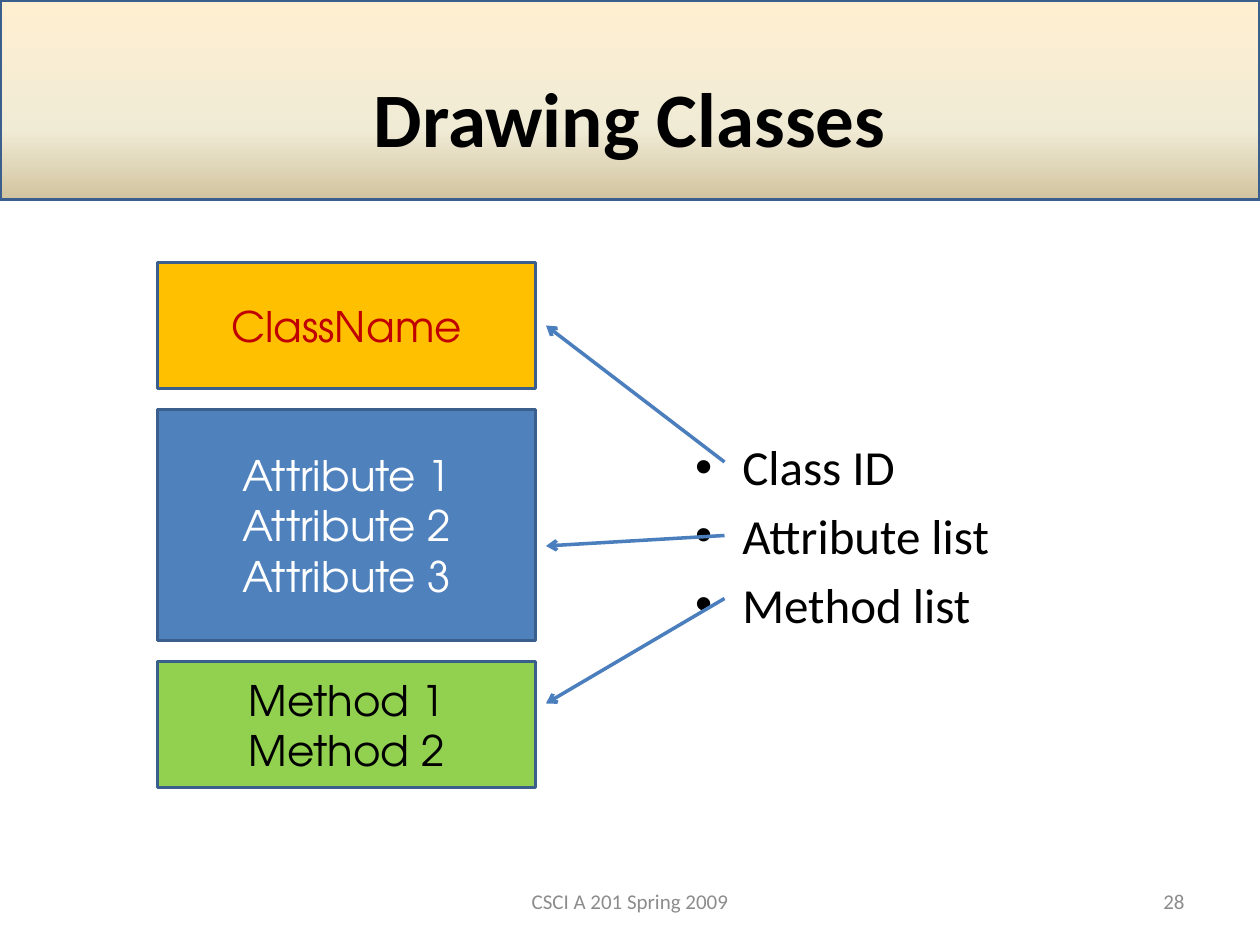
"""Build the "Drawing Classes" slide on a grid of twelfths of an inch."""
import dataclasses
import typing

import lxml.etree
import pptx
import pptx.dml.color
import pptx.enum.shapes
import pptx.enum.text
import pptx.oxml.ns
import pptx.util

COLORS = {
    "band_top": "FFEFD1", "band_mid": "F0EBD5", "band_low": "D1C39F",
    "outline": "3A5F8C", "arrow": "4B7EBC", "black": "000000",
    "white": "FFFFFF", "gray": "8C8C8C", "orange": "FFC000",
    "red": "C00000", "blue": "4F81BD", "green": "92D050",
}
ALIGN = pptx.enum.text.PP_ALIGN
MIDDLE = pptx.enum.text.MSO_ANCHOR.MIDDLE
qn = pptx.oxml.ns.qn


@dataclasses.dataclass
class Compartment:
    """One box of the class diagram, with its rows and the arrow to it."""
    row: int
    rows: int
    fill: str
    color: str
    lines: list[str]
    arrow_from: int
    arrow_to: int


COMPARTMENTS = [
    Compartment(25, 12, "orange", "red", ["ClassName"], 44, 31),
    Compartment(39, 22, "blue", "white",
                ["Attribute 1", "Attribute 2", "Attribute 3"], 51, 52),
    Compartment(63, 12, "green", "black", ["Method 1\vMethod 2"], 57, 67),
]


def grid(n: float) -> pptx.util.Emu:
    """Return the length of n columns or rows."""
    return pptx.util.Inches(n / 12)


def rgb(name: str) -> pptx.dml.color.RGBColor:
    """Return a named colour."""
    return pptx.dml.color.RGBColor.from_string(COLORS[name])


def place(sp: typing.Any, box: tuple) -> None:
    """Move a shape to a left, top, width, height box on the grid."""
    for name, n in zip(("left", "top", "width", "height"), box):
        setattr(sp, name, grid(n))


def write(tf: typing.Any, lines: list[str], color: str, align: typing.Any = None,
          **font: typing.Any) -> None:
    """Write one paragraph per line and format its runs."""
    tf.word_wrap = True
    for i, line in enumerate(lines):
        p = tf.paragraphs[0] if i == 0 else tf.add_paragraph()
        p.text = line
        p.alignment = align
        if i == 0:
            p.space_before = pptx.util.Pt(0)
        for r in p.runs:
            r.font.color.rgb = rgb(color)
            for name, value in font.items():
                setattr(r.font, name, value)


def outline(s: typing.Any, color: str) -> None:
    """Give a shape or connector a two-point line."""
    s.line.color.rgb = rgb(color)
    s.line.width = pptx.util.Pt(2)


def add_box(slide: typing.Any, box: tuple) -> typing.Any:
    """Add an outlined rectangle."""
    sp = slide.shapes.add_shape(pptx.enum.shapes.MSO_SHAPE.RECTANGLE, *map(grid, box))
    sp.shadow.inherit = False
    outline(sp, "outline")
    return sp


def add_band(slide: typing.Any) -> None:
    """Add the gradient title band behind everything else."""
    sp = add_box(slide, (0, 0, 120, 19))
    sp.fill.gradient()
    sp.fill.gradient_angle = 270
    stops = next(sp.element.iter(qn("a:gsLst")))
    for gs in list(stops):
        stops.remove(gs)
    for share, name in ((0, "band_top"), (65, "band_mid"), (100, "band_low")):
        gs = lxml.etree.SubElement(stops, qn("a:gs"), pos=str(share * 1000))
        lxml.etree.SubElement(gs, qn("a:srgbClr"), val=COLORS[name])
    slide.shapes.element.insert(2, sp.element)


def add_compartment(slide: typing.Any, c: Compartment) -> None:
    """Add a filled box of the class diagram."""
    sp = add_box(slide, (15, c.row, 36, c.rows))
    sp.fill.solid()
    sp.fill.fore_color.rgb = rgb(c.fill)
    sp.text_frame.vertical_anchor = MIDDLE
    write(sp.text_frame, c.lines, c.color, ALIGN.CENTER,
          size=pptx.util.Pt(24), name="TeX Gyre Adventor")


def add_arrow(slide: typing.Any, c: Compartment) -> None:
    """Add the arrow from a list item to its compartment."""
    cxn = slide.shapes.add_connector(
        pptx.enum.shapes.MSO_CONNECTOR.STRAIGHT,
        *map(grid, (69, c.arrow_from, 52, c.arrow_to)))
    outline(cxn, "arrow")
    lxml.etree.SubElement(cxn.line._get_or_add_ln(), qn("a:tailEnd"), type="arrow")
    lxml.etree.SubElement(cxn.element.spPr, qn("a:effectLst"))


def add_footer(slide: typing.Any, box: tuple, text: str, align: typing.Any) -> None:
    """Add a small grey text at the foot of the slide."""
    s = slide.shapes.add_textbox(*map(grid, box))
    s.text_frame.vertical_anchor = MIDDLE
    write(s.text_frame, [text], "gray", align, size=pptx.util.Pt(12), name="Calibri")


def main() -> None:
    """Build and save the slide."""
    prs = pptx.Presentation()
    prs.slide_width, prs.slide_height = grid(120), grid(90)
    slide = prs.slides.add_slide(prs.slide_layouts[1])
    title, body = slide.placeholders
    add_band(slide)

    place(title, (6, 3.6, 108, 15))
    title.text_frame.vertical_anchor = MIDDLE
    write(title.text_frame, ["Drawing Classes"], "black", ALIGN.CENTER,
          size=pptx.util.Pt(44), name="Calibri", bold=True)
    place(body, (65, 41, 45, 23))
    write(body.text_frame, ["Class ID", "Attribute list", "Method list"], "black",
          size=pptx.util.Pt(28), name="Calibri")

    add_footer(slide, (41, 83.4, 38, 4.8), "CSCI A 201 Spring 2009", ALIGN.CENTER)
    add_footer(slide, (86, 83.4, 28, 4.8), "28", ALIGN.RIGHT)
    for c in COMPARTMENTS:
        add_compartment(slide, c)
    for c in reversed(COMPARTMENTS):
        add_arrow(slide, c)
    prs.save("out.pptx")


if __name__ == "__main__":
    main()
